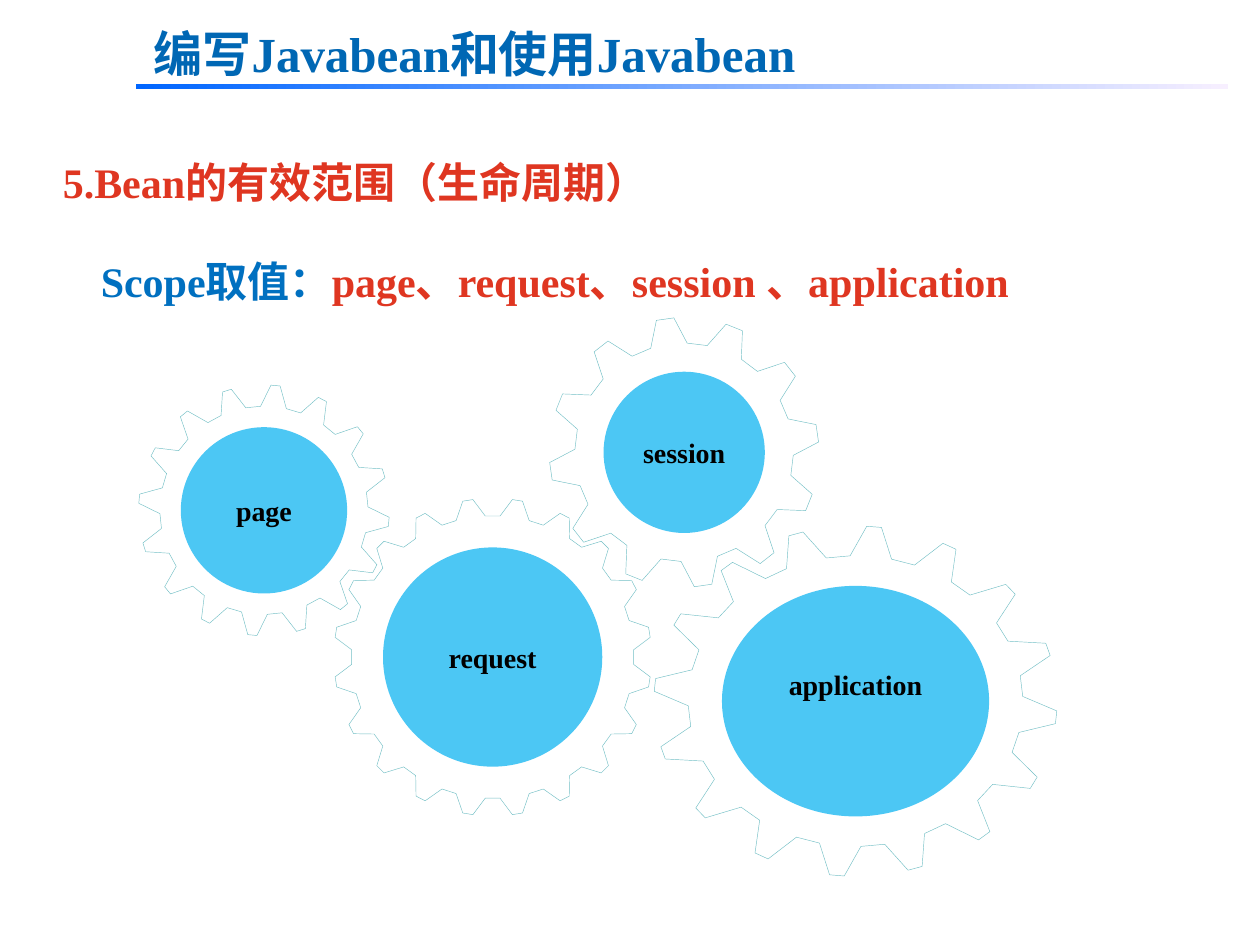
from math import cos, radians, sin

from lxml import etree
from pptx import Presentation
from pptx.dml.color import RGBColor
from pptx.enum.shapes import MSO_SHAPE
from pptx.enum.text import MSO_ANCHOR, PP_ALIGN
from pptx.oxml.ns import qn
from pptx.util import Inches, Pt

RECTANGLE, OVAL = MSO_SHAPE.RECTANGLE, MSO_SHAPE.OVAL
MIDDLE = MSO_ANCHOR.MIDDLE
CENTER, JUSTIFY = PP_ALIGN.CENTER, PP_ALIGN.JUSTIFY

COLUMNS, ROWS = 100, 75
RED, TITLE_BLUE, TEXT_BLUE = "DF3621", "0067B4", "0070C0"
HUB_BLUE, GEAR_GREEN = "00B0F0", "72BFC5"


def color(value):
    return RGBColor.from_string(value)


class SlideBuilder:
    """Holds the style and the slide; lengths are grid columns and rows."""

    font = "Times New Roman"

    def __init__(self, presentation):
        self.slide = presentation.slides.add_slide(presentation.slide_layouts[6])
        self.column = presentation.slide_width / COLUMNS
        self.row = presentation.slide_height / ROWS

    def box(self, left, top, width, height):
        return (round(left * self.column), round(top * self.row),
                round(width * self.column), round(height * self.row))

    def style(self, paragraph, size, alignment, spacing=1.0):
        paragraph.alignment = alignment
        paragraph.line_spacing = spacing
        paragraph.font.name = self.font
        paragraph.font.size = Pt(size)
        paragraph.font.bold = True

    def text(self, left, top, width, height, parts, size, spacing=1.0, inset=0.1):
        frame = self.slide.shapes.add_textbox(
            *self.box(left, top, width, height)).text_frame
        frame.word_wrap = True
        frame.margin_left = Inches(inset)
        paragraph = frame.paragraphs[0]
        for words, part_color in parts:
            run = paragraph.add_run()
            run.text = words
            run.font.color.rgb = color(part_color)
        self.style(paragraph, size, JUSTIFY, spacing)

    def shape(self, kind, *place):
        shape = self.slide.shapes.add_shape(kind, *self.box(*place))
        shape.shadow.inherit = False
        shape.line.fill.background()
        return shape

    def rule(self, left, top, width, height, start, end):
        fill = self.shape(RECTANGLE, left, top, width, height).fill
        fill.gradient()
        fill.gradient_angle = 0
        for stop, stop_color in zip(fill.gradient_stops, (start, end)):
            stop.color.rgb = color(stop_color)

    def gear(self, x, y, radius_x, radius_y, teeth, turn, root, tip_half, root_half):
        """Outline of a toothed wheel; angles in degrees, root as share of radius."""
        step = 360 / teeth
        corners = [(1, -tip_half), (1, tip_half),
                   (root, step / 2 - root_half), (root, step / 2 + root_half)]
        points = []
        for tooth in range(teeth):
            for radius, offset in corners:
                angle = radians(turn + tooth * step + offset)
                points.append((round((x + radius_x * radius * cos(angle)) * self.column),
                               round((y + radius_y * radius * sin(angle)) * self.row)))
        builder = self.slide.shapes.build_freeform(*points[0])
        builder.add_line_segments(points[1:], close=True)
        outline = builder.convert_to_shape()
        outline.shadow.inherit = False
        outline.fill.background()
        outline.line.color.rgb = color(GEAR_GREEN)
        outline.line.width = Pt(0.25)

    def hub(self, x, y, radius_x, radius_y, label, lift=0):
        """Translucent oval with a label, raised by lift inches."""
        oval = self.shape(OVAL, x - radius_x, y - radius_y, 2 * radius_x, 2 * radius_y)
        oval.fill.solid()
        oval.fill.fore_color.rgb = color(HUB_BLUE)
        tint = oval._element.spPr.find(qn("a:solidFill")).find(qn("a:srgbClr"))
        etree.SubElement(tint, qn("a:alpha"), val="70000")
        frame = oval.text_frame
        frame.vertical_anchor = MIDDLE
        frame.margin_left = frame.margin_right = 0
        frame.margin_bottom = Inches(0.05 + 2 * lift)
        paragraph = frame.paragraphs[0]
        paragraph.text = label
        self.style(paragraph, 16, CENTER)
        paragraph.font.color.rgb = color("000000")


def main():
    presentation = Presentation()
    presentation.slide_width, presentation.slide_height = Inches(10), Inches(7.5)
    builder = SlideBuilder(presentation)

    # Title, rule and headings
    builder.rule(10.8, 6.7, 86.7, 0.4, "0066FF", "F7EFFF")
    builder.text(4, 9.9, 91.7, 6.6, [("5.Bean的有效范围（生命周期）", RED)], 24, 1.5)
    builder.text(10.2, 1.4, 72.9, 5.7,
                 [("编写Javabean和使用Javabean", TITLE_BLUE)], 28, inset=0.2)
    builder.text(5.3, 17.8, 91.6, 11.1,
                 [("Scope取值：", TEXT_BLUE),
                  ("page、request、session 、application", RED)],
                 24, 1.5, inset=0.27)

    # Gears: label, centre, gear radii, hub radii, tooth form, label lift
    # Tooth form: teeth, turn, root share, half angle of tip and of root
    fine, coarse, medium = ((20, 9, 0.89, 1.85, 3), (12, 21.9, 0.81, 3.75, 5.3),
                            (16, 5.3, 0.83, 2.1, 4.1))
    gears = [
        ("request", (39.1, 52.15), (12.6, 12.6), (8.7, 8.7), fine, 0),
        ("session", (54.3, 35.9), (10.7, 10.7), (6.4, 6.4), coarse, 0),
        ("page", (20.95, 40.5), (9.95, 9.95), (6.6, 6.6), medium, 0),
        ("application", (67.9, 55.65), (16, 13.9), (10.6, 9.15), medium, 0.13),
    ]
    for label, center, gear_radii, hub_radii, teeth, lift in gears:
        builder.gear(*center, *gear_radii, *teeth)
        builder.hub(*center, *hub_radii, label, lift)

    presentation.save("out.pptx")


if __name__ == "__main__":
    main()
